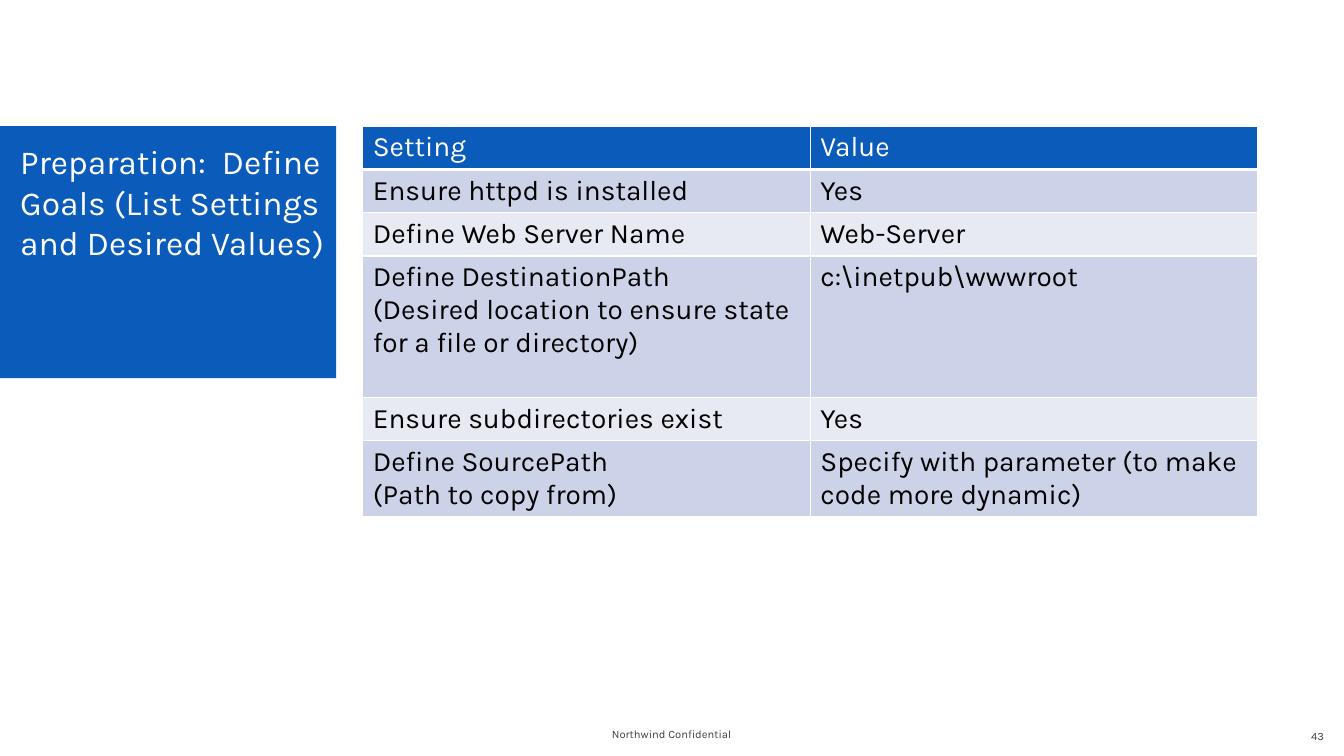
from lxml import etree
from pptx import Presentation
from pptx import util as u
from pptx.dml.color import RGBColor
from pptx.enum import text
from pptx.oxml import ns

# Content
TITLE = "Preparation:  Define Goals (List Settings and Desired Values)"
FOOTER = "Northwind Confidential"
PAGE = "43"
ROWS = [  # setting, value, row height in cm
    ("Setting", "Value", 1.09),
    ("Ensure httpd is installed", "Yes", 1.09),
    ("Define Web Server Name", "Web-Server", 1.09),
    ("Define DestinationPath\n(Desired location to ensure state for a file or directory)",
     "c:\\inetpub\\wwwroot", 3.56),
    ("Ensure subdirectories exist", "Yes", 1.09),
    ("Define SourcePath\n(Path to copy from)",
     "Specify with parameter (to make code more dynamic)", 1.91),
]

# Look
FONT = "Karla"
BLUE = RGBColor(0x0A, 0x5B, 0xBA)
WHITE = RGBColor(0xFF, 0xFF, 0xFF)
BLACK = RGBColor(0, 0, 0)
GREY = RGBColor(0x3F, 0x3F, 0x3F)
BANDS = [RGBColor(0xE7, 0xEA, 0xF3), RGBColor(0xCC, 0xD2, 0xE7)]
TOP = 3.18
COLUMN = 11.28


def write(tf, content, size, color, align=text.PP_ALIGN.LEFT):
    tf.text = content
    for p in tf.paragraphs:
        p.alignment = align
        for name, value in dict(name=FONT, size=u.Pt(size), bold=False).items():
            setattr(p.font, name, value)
        p.font.color.rgb = color


def format_frame(tf, anchor, left, top, right, bottom):
    values = dict(word_wrap=True, auto_size=text.MSO_AUTO_SIZE.NONE,
                  vertical_anchor=anchor, margin_left=u.Cm(left), margin_top=u.Cm(top),
                  margin_right=u.Cm(right), margin_bottom=u.Cm(bottom))
    for name, value in values.items():
        setattr(tf, name, value)


def add_borders(cell, widths):
    tc_pr = cell._tc.get_or_add_tcPr()
    for side, width in widths.items():
        ln = etree.SubElement(tc_pr, ns.qn(f"a:ln{side}"), w=str(u.Pt(width)))
        fill = etree.SubElement(ln, ns.qn("a:solidFill"))
        etree.SubElement(fill, ns.qn("a:srgbClr"), val=str(WHITE))


prs = Presentation()
prs.slide_width, prs.slide_height = u.Cm(33.87), u.Cm(19.05)
s = prs.slides.add_slide(prs.slide_layouts[5])

# Title panel
title = s.shapes.title
title.left, title.top, title.width, title.height = map(u.Cm, (0, TOP, 8.47, 6.35))
title.fill.solid()
title.fill.fore_color.rgb = BLUE
format_frame(title.text_frame, text.MSO_ANCHOR.TOP, 0.51, 0.38, 0.25, 0.13)
write(title.text_frame, TITLE, 24, WHITE)

# Settings table
table = s.shapes.add_table(len(ROWS), 2, u.Cm(9.14), u.Cm(TOP), u.Cm(2 * COLUMN),
                           u.Cm(sum(row[2] for row in ROWS))).table
for column in table.columns:
    column.width = u.Cm(COLUMN)
for i, (*texts, height) in enumerate(ROWS):
    table.rows[i].height = u.Cm(height)
    for j, content in enumerate(texts):
        cell = table.cell(i, j)
        write(cell.text_frame, content, 20, BLACK if i else WHITE)
        add_borders(cell, dict(L=1, R=1, T=3 if i == 1 else 1, B=1 if i else 3))
        cell.fill.solid()
        cell.fill.fore_color.rgb = BANDS[i % 2] if i else BLUE

# Footer and page number
for content, left, top, align in [(FOOTER, 12.98, 17.98, text.PP_ALIGN.CENTER),
                                  (PAGE, 25.98, 18.03, text.PP_ALIGN.RIGHT)]:
    sp = s.shapes.add_textbox(u.Cm(left), u.Cm(top), u.Cm(7.9), u.Cm(1.02))
    format_frame(sp.text_frame, text.MSO_ANCHOR.MIDDLE, 0.51, 0.13, 0.51, 0.13)
    write(sp.text_frame, content, 8, GREY, align)

prs.save("out.pptx")
